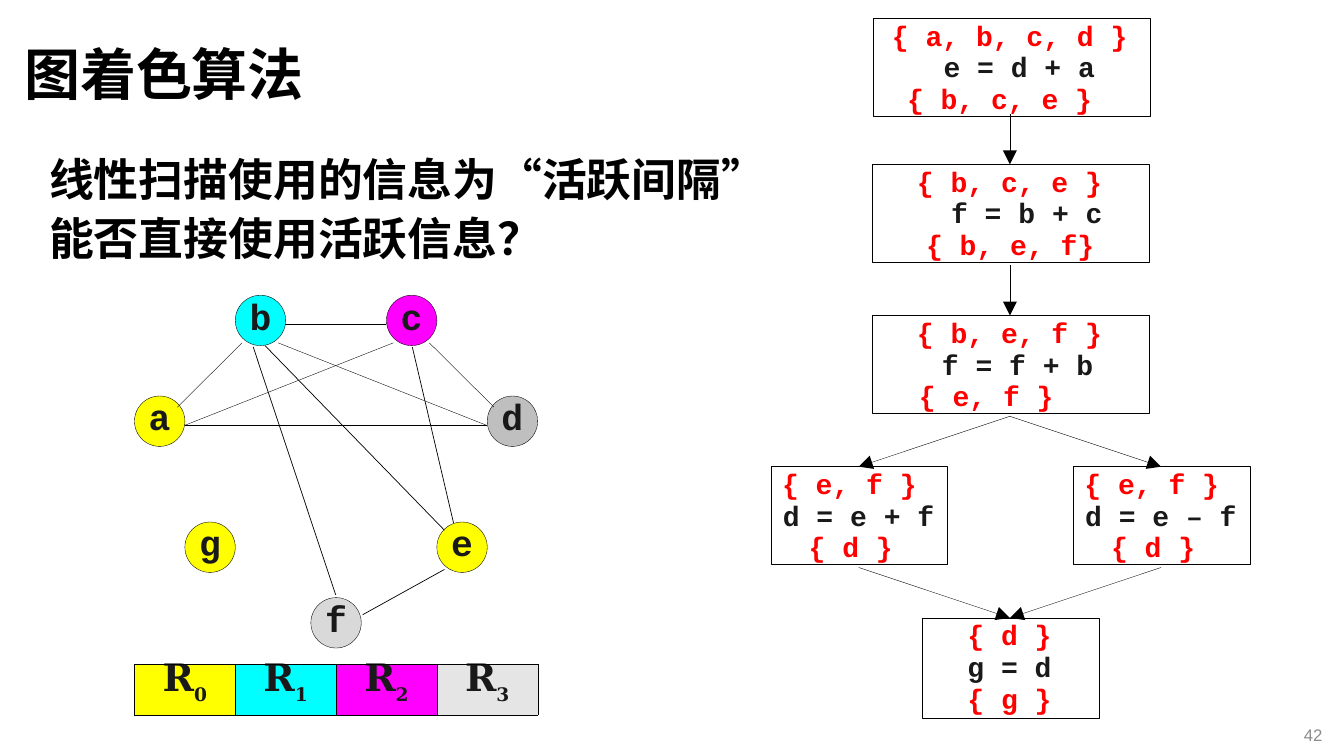
from lxml import etree
from pptx import Presentation
from pptx import util as u
from pptx.dml.color import RGBColor
from pptx.enum import shapes, text
from pptx.oxml import ns

CODE, CHINESE = "Courier New", "Noto Sans CJK SC"
RED, DARK, BLACK = "FF0000", "191919", "000000"


def colour(value):
    return RGBColor.from_string(value)


def write(para, string, font=CODE, size=20, fill=DARK, bold=True, indent=0,
          spacing=None, before=None, align=None, baseline=None):
    """Add a run to a paragraph and format both."""
    if indent:
        para._p.get_or_add_pPr().set("marL", str(u.Cm(indent)))
    if spacing:
        para.line_spacing = spacing
    if before:
        para.space_before = u.Pt(before)
    if align:
        para.alignment = align
    span = para.add_run()
    span.text = string
    span.font.name, span.font.size, span.font.bold = font, u.Pt(size), bold
    span.font.color.rgb = colour(fill)
    properties = span._r.get_or_add_rPr()
    if font == CHINESE:
        etree.SubElement(properties, ns.qn("a:ea"), typeface=font)
    if baseline:
        properties.set("baseline", str(baseline))


deck = Presentation()
deck.slide_width, deck.slide_height = u.Cm(33.87), u.Cm(19.05)
page = deck.slides.add_slide(deck.slide_layouts[6])

# Title, statements and page number
middle, top = text.MSO_ANCHOR.MIDDLE, text.MSO_ANCHOR.TOP
labels = [
    (0.36, 0.38, 31.93, 3.15, middle, ["图着色算法"],
     dict(font=CHINESE, size=40, fill=BLACK, spacing=0.9)),
    (0.69, 3.86, 19.18, 3.68, top,
     ["线性扫描使用的信息为“活跃间隔”", "能否直接使用活跃信息？"],
     dict(font=CHINESE, size=32, fill=BLACK, spacing=0.9, indent=0.3)),
    (25.96, 18.01, 7.62, 1.02, middle, ["42"],
     dict(font="Arial", size=12, fill="8C8C8C", bold=False, align=text.PP_ALIGN.RIGHT)),
]
for left, upper, width, height, anchor, lines, style in labels:
    frame = page.shapes.add_textbox(u.Cm(left), u.Cm(upper), u.Cm(width), u.Cm(height)).text_frame
    frame.word_wrap, frame.vertical_anchor = True, anchor
    for number, line in enumerate(lines):
        para = frame.add_paragraph() if number else frame.paragraphs[0]
        write(para, line, before=7 if number else None, **style)

# Basic blocks: live-in set, statement, live-out set, each with its indent
blocks = [
    (22, 0.46, 6.99, 2.46, [("{ a, b, c, d }", 0.48), ("e = d + a", 1.78), ("{ b, c, e }", 0.86)]),
    (21.97, 4.14, 6.99, 2.46, [("{ b, c, e }", 1.14), ("f = b + c", 2), ("{ b, e, f}", 1.37)]),
    (21.97, 7.95, 6.99, 2.46, [("{ b, e, f }", 1.14), ("f = f + b", 1.77), ("{ e, f }", 1.19)]),
    (19.43, 11.76, 4.45, 2.46, [("{ e, f }", 0.28), ("d = e + f", 0.3), ("{ d }", 0.95)]),
    (27.05, 11.76, 4.45, 2.46, [("{ e, f }", 0.28), ("d = e – f", 0.3), ("{ d }", 0.95)]),
    (23.24, 15.57, 4.45, 2.54, [("{ d }", 1.14), ("g = d", 1.14), ("{ g }", 1.14)]),
]
for left, upper, width, height, lines in blocks:
    box = page.shapes.add_shape(shapes.MSO_SHAPE.RECTANGLE,
                                u.Cm(left), u.Cm(upper), u.Cm(width), u.Cm(height))
    box.shadow.inherit = False
    box.fill.background()
    box.line.color.rgb, box.line.width = colour(BLACK), u.Pt(0.25)
    frame = box.text_frame
    frame.word_wrap, frame.vertical_anchor = True, top
    frame.margin_left = frame.margin_right = frame.margin_bottom = 0
    frame.margin_top = u.Cm(0.05)
    for number, (line, indent) in enumerate(lines):
        para = frame.add_paragraph() if number else frame.paragraphs[0]
        write(para, line, fill=DARK if number == 1 else RED, indent=indent,
              spacing=u.Pt(22.6), align=text.PP_ALIGN.LEFT)

# Interference graph nodes on a grid of one node diameter
diameter = 1.27
nodes = [("a", 0, 2, "FFFF00"), ("b", 2, 0, "00FFFF"), ("c", 5, 0, "FF00FF"),
         ("d", 7, 2, "BFBFBF"), ("e", 6, 4.5, "FFFF00"), ("f", 3.5, 6, "D9D9D9"),
         ("g", 1, 4.5, "FFFF00")]
for name, column, row, fill in nodes:
    node = page.shapes.add_shape(
        shapes.MSO_SHAPE.OVAL, u.Cm(3.39 + column * diameter), u.Cm(7.44 + row * diameter),
        u.Cm(diameter), u.Cm(diameter))
    node.shadow.inherit = False
    node.fill.solid()
    node.fill.fore_color.rgb = colour(fill)
    node.line.color.rgb, node.line.width = colour(BLACK), u.Pt(0.25)
    frame = node.text_frame
    frame.word_wrap, frame.vertical_anchor = False, middle
    frame.margin_left = frame.margin_right = frame.margin_top = 0
    frame.margin_bottom = u.Cm(0.25)
    write(frame.paragraphs[0], name, size=26, align=text.PP_ALIGN.CENTER)

# Control flow arrows, then thin and thicker graph edges
flow = [(25.45, 2.87, 25.45, 4.14), (25.45, 6.68, 25.45, 7.95),
        (25.45, 10.49, 21.64, 11.76), (25.45, 10.49, 29.26, 11.76),
        (21.64, 14.3, 25.45, 15.57), (29.26, 14.3, 25.45, 15.57)]
thin_edges = [(4.47, 10.26, 6.1, 8.64), (7.19, 8.18, 9.73, 8.18),
              (10.82, 8.64, 12.45, 10.26), (4.65, 10.72, 12.27, 10.72),
              (9.91, 8.64, 4.65, 10.72), (7.01, 8.64, 12.27, 10.72)]
thick_edges = [(6.68, 8.71, 11.2, 13.36), (10.39, 8.74, 11.43, 13.18),
               (6.38, 8.74, 8.46, 14.99), (11.2, 14.35, 9.14, 15.49)]
for group, width, arrow in [(flow, 0.25, True), (thin_edges, 0.25, False),
                            (thick_edges, 0.5, False)]:
    for ends in group:
        edge = page.shapes.add_connector(shapes.MSO_CONNECTOR.STRAIGHT,
                                         *[u.Cm(value) for value in ends])
        edge.line.color.rgb, edge.line.width = colour(BLACK), u.Pt(width)
        if arrow:
            etree.SubElement(edge.line._get_or_add_ln(), ns.qn("a:tailEnd"),
                             type="triangle", w="lg", len="lg")
        etree.SubElement(edge._element.spPr, ns.qn("a:effectLst"))

# Register colours
fills = ["FFFF00", "00FFFF", "FF00FF", "E5E5E5"]
registers = page.shapes.add_table(1, 4, u.Cm(3.39), u.Cm(16.74), u.Cm(10.16), u.Cm(1.27)).table
for number, fill in enumerate(fills):
    cell = registers.cell(0, number)
    cell.margin_left = cell.margin_right = cell.margin_top = cell.margin_bottom = 0
    para = cell.text_frame.paragraphs[0]
    write(para, "R", font="DejaVu Serif", size=27, indent=0.71, spacing=u.Pt(29.4))
    write(para, str(number), font="DejaVu Serif", size=23, baseline=-31000)
    properties = cell._tc.get_or_add_tcPr()
    for side in ("lnL", "lnR", "lnT", "lnB"):
        border = etree.SubElement(properties, ns.qn("a:" + side), w=str(u.Pt(0.25)))
        solid = etree.SubElement(border, ns.qn("a:solidFill"))
        etree.SubElement(solid, ns.qn("a:srgbClr"), val=BLACK)
    cell.fill.solid()
    cell.fill.fore_color.rgb = colour(fill)

deck.save("out.pptx")
